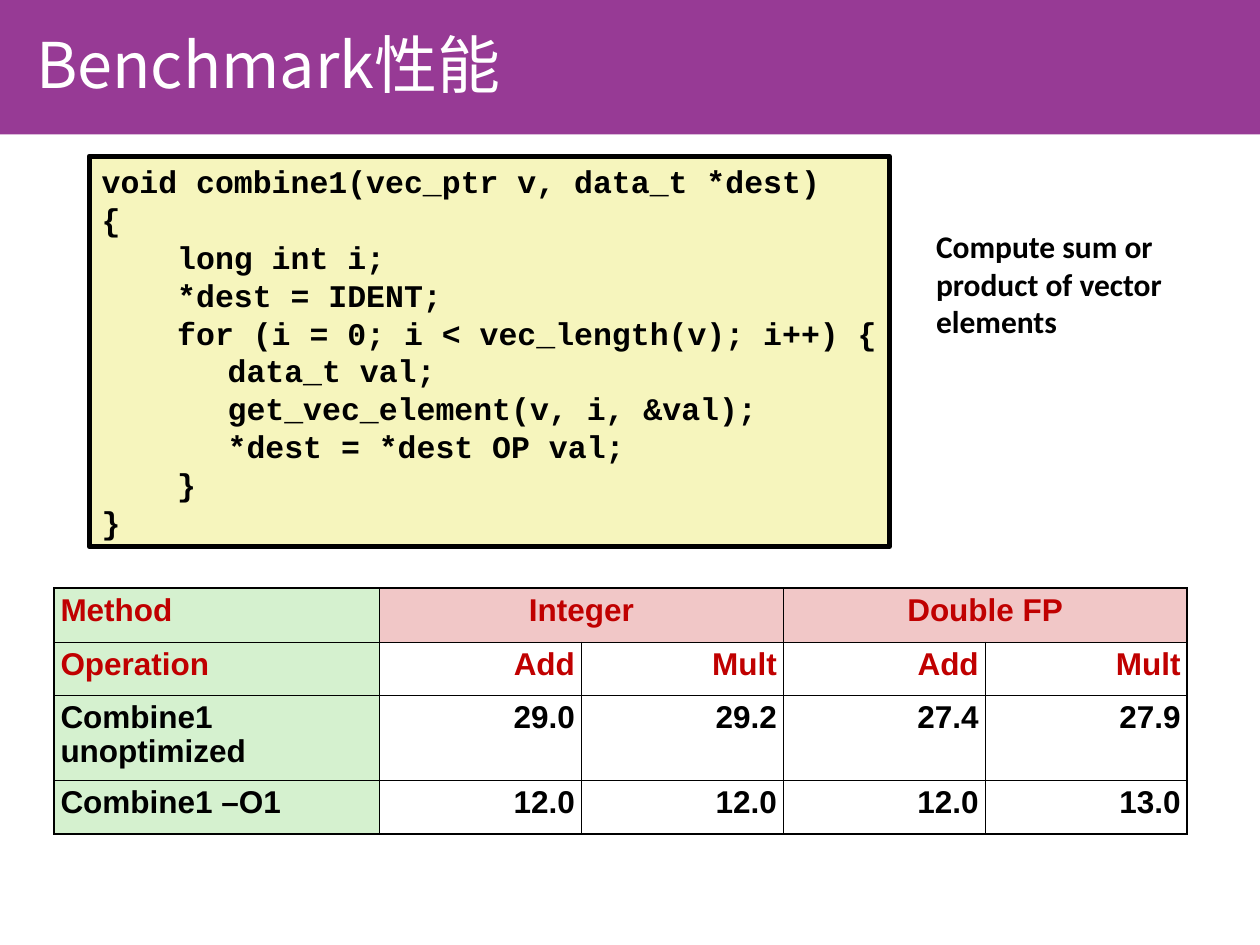
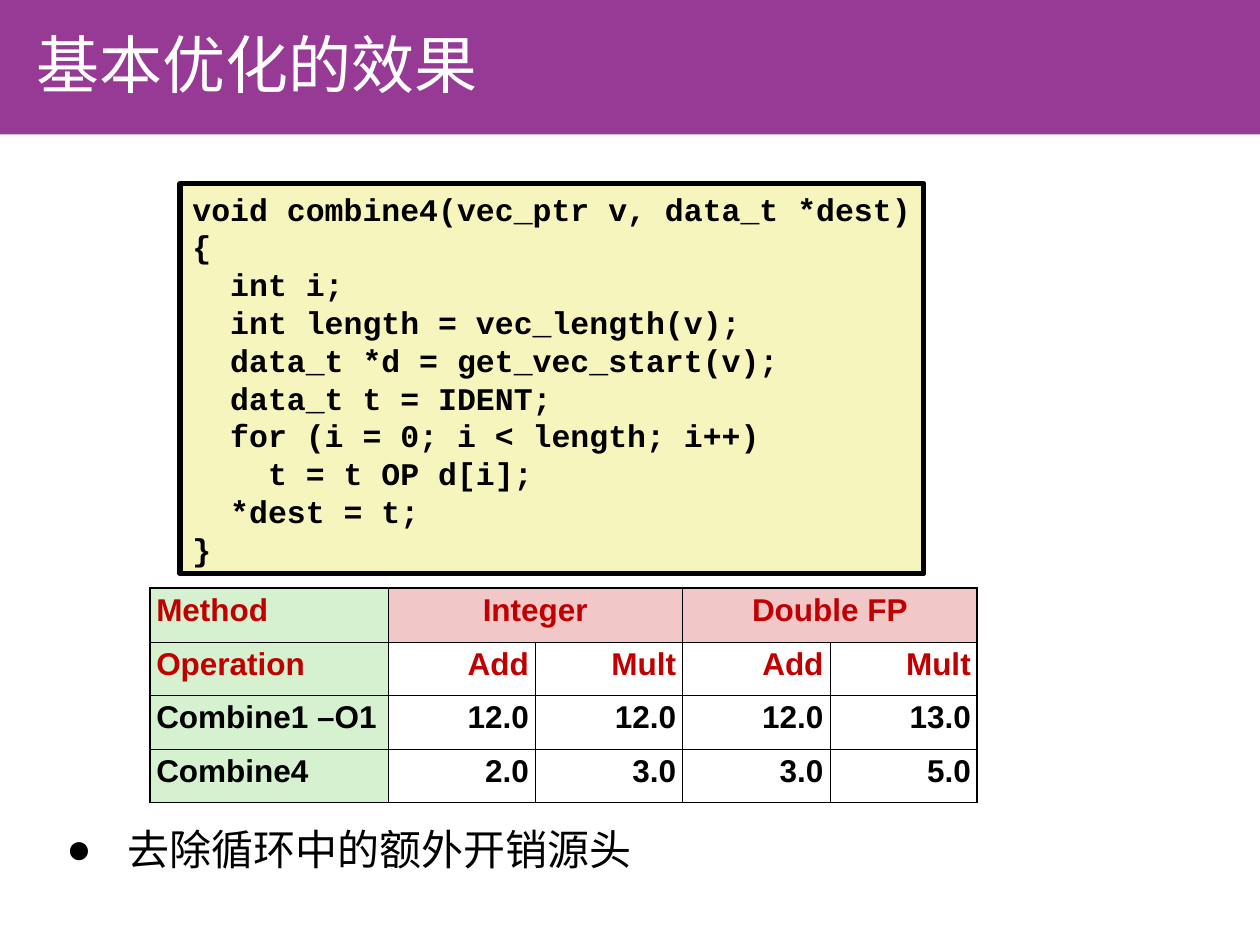
from lxml.etree import SubElement
from pptx import Presentation
from pptx.dml.color import RGBColor
from pptx.enum.shapes import MSO_SHAPE
from pptx.enum.text import MSO_ANCHOR, MSO_AUTO_SIZE, PP_ALIGN
from pptx.oxml.ns import qn
from pptx.util import Cm, Pt

PURPLE, CREAM, GREEN, PINK = "973A95", "F6F5BD", "D5F1CF", "F1C7C7"
RED, BLACK, WHITE = "C00000", "000000", "FFFFFF"
CJK_FONT, CODE_FONT, TABLE_FONT, NOTE_FONT = "Noto Sans CJK SC", "Courier New", "Arial", "Calibri"
ROW_HEIGHT, TALL_ROW_HEIGHT = 1.08, 1.7
TABLE_TOP = 11.86
CODE_HEIGHT = 7.87
CODE_TAB = 2.54
THIN, THICK = 0.45, 1.08

HEADER_ROWS = [
    ["Method", "Integer", "", "Double FP", ""],
    ["Operation", "Add", "Mult", "Add", "Mult"],
]
UNOPTIMIZED = ["Combine1 unoptimized", "29.0", "29.2", "27.4", "27.9"]
COMBINE1_O1 = ["Combine1 –O1", "12.0", "12.0", "12.0", "13.0"]
COMBINE4 = ["Combine4", "2.0", "3.0", "3.0", "5.0"]

COMBINE1_CODE = """void combine1(vec_ptr v, data_t *dest)
{
    long int i;
    *dest = IDENT;
    for (i = 0; i < vec_length(v); i++) {
\tdata_t val;
\tget_vec_element(v, i, &val);
\t*dest = *dest OP val;
    }
}"""

COMBINE4_CODE = """void combine4(vec_ptr v, data_t *dest)
{
  int i;
  int length = vec_length(v);
  data_t *d = get_vec_start(v);
  data_t t = IDENT;
  for (i = 0; i < length; i++)
    t = t OP d[i];
  *dest = t;
}"""

SLIDES = [
    {
        "title": "Benchmark性能",
        "code": {"text": COMBINE1_CODE, "left": 1.8, "top": 3.15, "width": 16.13},
        "table": {"rows": [UNOPTIMIZED, COMBINE1_O1], "left": 1.09,
                  "label_width": 6.56, "value_width": 4.07},
        "note": "Compute sum or product of vector elements",
    },
    {
        "title": "基本优化的效果",
        "code": {"text": COMBINE4_CODE, "left": 3.63, "top": 3.7, "width": 14.99},
        "table": {"rows": [COMBINE1_O1, COMBINE4], "left": 3.02,
                  "label_width": 4.8, "value_width": 2.97},
        "bullet": "去除循环中的额外开销源头",
    },
]


def rgb(color):
    return RGBColor.from_string(color)


def write(frame, text, font=CJK_FONT, size=18, color=BLACK, bold=False,
          align=PP_ALIGN.LEFT, spacing=None, tab=None, bullet=None, indent=0):
    """Fill a text frame, one paragraph per line of text."""
    for index, line in enumerate(text.split("\n")):
        paragraph = frame.paragraphs[0] if index == 0 else frame.add_paragraph()
        paragraph.alignment = align
        if spacing:
            paragraph.line_spacing = spacing
        properties = paragraph._p.get_or_add_pPr()
        if bullet:
            properties.set("marL", str(Cm(indent)))
            properties.set("indent", str(-Cm(indent)))
            SubElement(properties, qn("a:buFont"), typeface=TABLE_FONT)
            SubElement(properties, qn("a:buChar"), char=bullet)
        if tab:
            tabs = SubElement(properties, qn("a:tabLst"))
            SubElement(tabs, qn("a:tab"), pos=str(Cm(tab)), algn="l")
        run = paragraph.add_run()
        run.text = line
        run.font.name, run.font.size, run.font.bold = font, Pt(size), bold
        run.font.color.rgb = rgb(color)
        SubElement(run._r.get_or_add_rPr(), qn("a:ea"), typeface=font)


def add_text(slide, text, left, top, width, height, anchor=MSO_ANCHOR.TOP, **text_format):
    box = slide.shapes.add_textbox(Cm(left), Cm(top), Cm(width), Cm(height))
    frame = box.text_frame
    frame.word_wrap = True
    frame.vertical_anchor = anchor
    write(frame, text, **text_format)


def add_rectangle(slide, left, top, width, height, fill, line=None):
    shape = slide.shapes.add_shape(MSO_SHAPE.RECTANGLE, Cm(left), Cm(top), Cm(width), Cm(height))
    shape.shadow.inherit = False
    shape.fill.solid()
    shape.fill.fore_color.rgb = rgb(fill)
    if line:
        shape.line.color.rgb = rgb(line)
        shape.line.width = Pt(3)
    else:
        shape.line.fill.background()
    return shape


def add_title_band(slide, title):
    add_rectangle(slide, 0, -0.03, 25.4, 2.74, PURPLE)
    add_text(slide, title, 0.48, 0.33, 16.66, 1.9, anchor=MSO_ANCHOR.MIDDLE,
             size=36, color=WHITE)


def add_code(slide, text, left, top, width):
    frame = add_rectangle(slide, left, top, width, CODE_HEIGHT, CREAM, BLACK).text_frame
    frame.word_wrap = False
    frame.auto_size = MSO_AUTO_SIZE.SHAPE_TO_FIT_TEXT
    frame.vertical_anchor = MSO_ANCHOR.TOP
    write(frame, text, font=CODE_FONT, bold=True, tab=CODE_TAB)


def set_borders(cell, outer_sides):
    properties = cell._tc.get_or_add_tcPr()
    for side in "LRTB":
        width = THICK if side in outer_sides else THIN
        line = SubElement(properties, qn(f"a:ln{side}"), w=str(Pt(width)))
        SubElement(SubElement(line, qn("a:solidFill")), qn("a:srgbClr"), val=BLACK)


def format_cell(cell, text, row, column, last_row, last_column):
    at_edge = {"L": column == 0, "T": row == 0, "B": row == last_row,
               "R": column + cell.span_width - 1 == last_column}
    set_borders(cell, [side for side, outer in at_edge.items() if outer])
    cell.margin_left = cell.margin_right = cell.margin_top = cell.margin_bottom = Cm(0.13)
    fill = GREEN if column == 0 else PINK if row == 0 else None
    if fill:
        cell.fill.solid()
        cell.fill.fore_color.rgb = rgb(fill)
    else:
        cell.fill.background()
    align = PP_ALIGN.LEFT if column == 0 else PP_ALIGN.CENTER if row == 0 else PP_ALIGN.RIGHT
    if text:
        write(cell.text_frame, text, font=TABLE_FONT, bold=True, align=align, spacing=0.95,
              color=RED if row < len(HEADER_ROWS) else BLACK)


def add_cycles_table(slide, rows, left, label_width, value_width):
    rows = HEADER_ROWS + rows
    widths = [label_width] + [value_width] * (len(rows[0]) - 1)
    heights = [TALL_ROW_HEIGHT if row is UNOPTIMIZED else ROW_HEIGHT for row in rows]
    table = slide.shapes.add_table(len(rows), len(widths), Cm(left), Cm(TABLE_TOP),
                                   Cm(sum(widths)), Cm(sum(heights))).table
    table.first_row = table.horz_banding = False
    for column, width in zip(table.columns, widths):
        column.width = Cm(width)
    for row, height in zip(table.rows, heights):
        row.height = Cm(height)
    for column in (1, 3):
        table.cell(0, column).merge(table.cell(0, column + 1))
    for row, texts in enumerate(rows):
        for column, text in enumerate(texts):
            format_cell(table.cell(row, column), text, row, column,
                        len(rows) - 1, len(widths) - 1)


def main():
    presentation = Presentation()
    presentation.slide_width, presentation.slide_height = Cm(25.4), Cm(19.05)
    for content in SLIDES:
        slide = presentation.slides.add_slide(presentation.slide_layouts[6])
        add_title_band(slide, content["title"])
        if "bullet" in content:
            add_text(slide, content["bullet"], 1.09, 16.48, 21.95, 1.5,
                     size=24, bullet="●", indent=1.24)
        add_code(slide, **content["code"])
        if "note" in content:
            add_text(slide, content["note"], 18.62, 4.45, 6.78, 2.54, font=NOTE_FONT, bold=True)
        add_cycles_table(slide, **content["table"])
    presentation.save("out.pptx")


if __name__ == "__main__":
    main()
